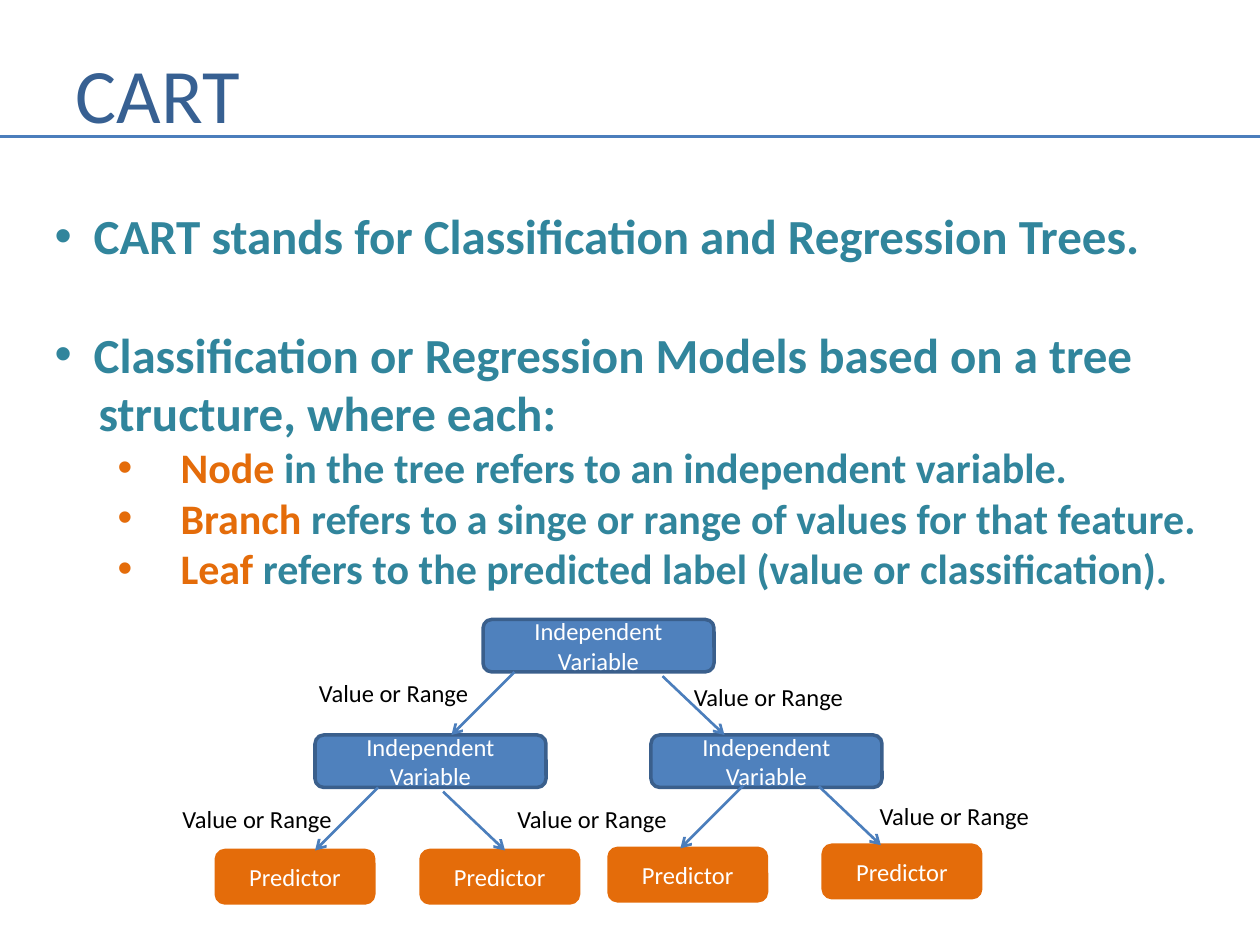
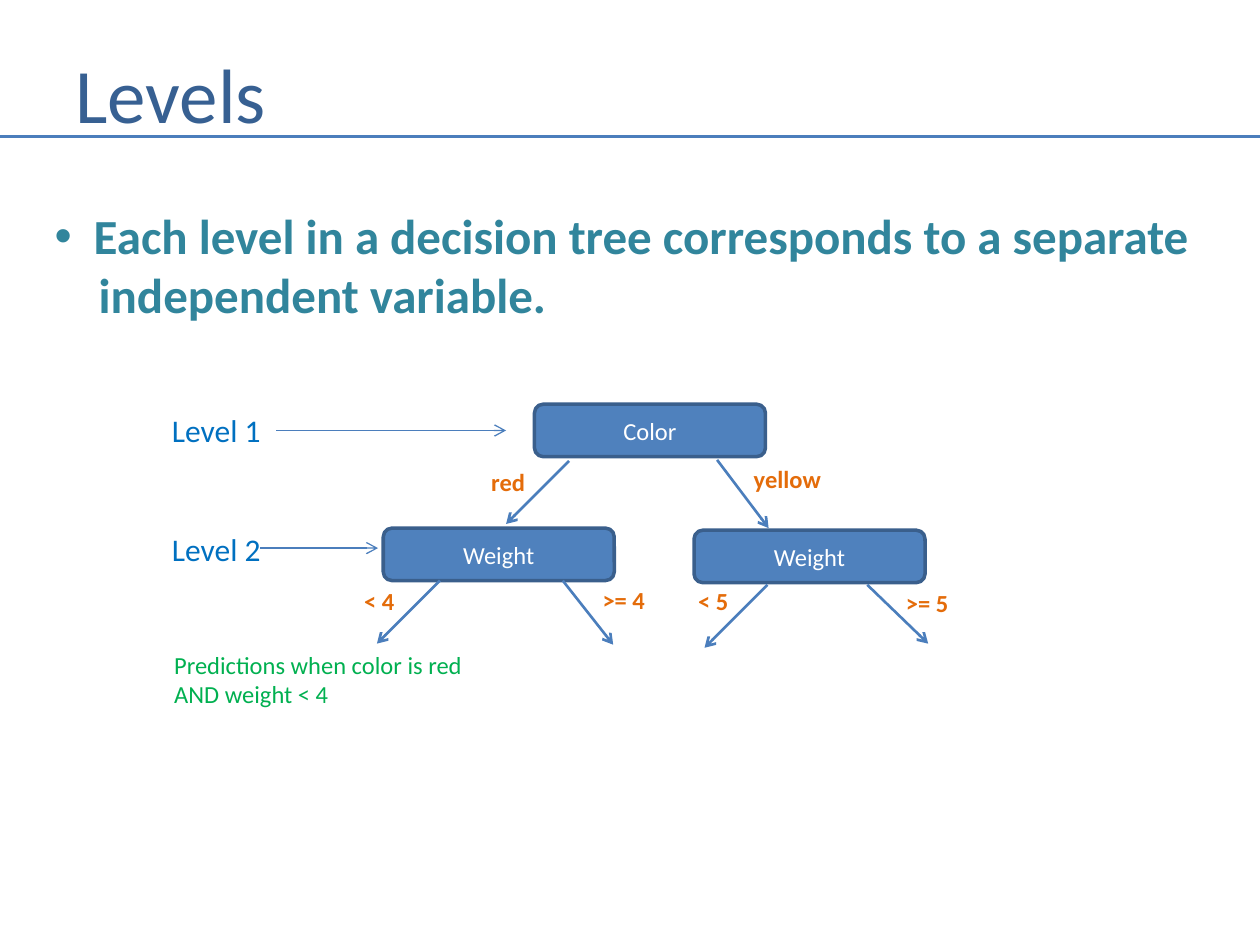
from lxml import etree
from pptx import Presentation
from pptx.dml.color import RGBColor
from pptx.enum.shapes import MSO_CONNECTOR, MSO_SHAPE
from pptx.enum.text import MSO_ANCHOR, MSO_AUTO_SIZE, PP_ALIGN
from pptx.oxml.ns import qn
from pptx.util import Inches, Pt

STRAIGHT, ROUNDED = MSO_CONNECTOR.STRAIGHT, MSO_SHAPE.ROUNDED_RECTANGLE
MIDDLE, TOP = MSO_ANCHOR.MIDDLE, MSO_ANCHOR.TOP
LEFT, CENTER = PP_ALIGN.LEFT, PP_ALIGN.CENTER
FIXED, GROW = MSO_AUTO_SIZE.NONE, MSO_AUTO_SIZE.SHAPE_TO_FIT_TEXT

FONT = "Calibri"
NAVY = RGBColor(0x37, 0x60, 0x92)
TEAL = RGBColor(0x31, 0x85, 0x9C)
ORANGE = RGBColor(0xE4, 0x6C, 0x0A)
BLUE = RGBColor(0x4F, 0x81, 0xBD)
EDGE = RGBColor(0x3A, 0x5F, 0x8C)
LINE = RGBColor(0x4B, 0x7E, 0xBC)
SKY = RGBColor(0x00, 0x70, 0xC0)
GREEN = RGBColor(0x00, 0xB0, 0x50)
BLACK = RGBColor(0, 0, 0)
WHITE = RGBColor(0xFF, 0xFF, 0xFF)

prs = Presentation()
prs.slide_width, prs.slide_height = Inches(10), Inches(7.5)

# The page is a grid of 120 columns by 90 rows; every cell is square.
COLUMNS, ROWS = 120, 90
CELL = prs.slide_width / COLUMNS
NODE_W, LEAF_W, BOX_H = 22, 15, 5
RANGE_W, LABEL_H = 16.8, 4.1


def format_runs(p, size, color, bold=False):
    """Give every run of a paragraph the same font."""
    for r in p.runs:
        r.font.name, r.font.size, r.font.bold = FONT, Pt(size), bold
        r.font.color.rgb = color


def add_line(s, ends, width, arrow=True):
    """Draw a line between two grid points, with an open arrowhead if asked."""
    c = s.shapes.add_connector(STRAIGHT, *(int(v * CELL) for v in ends))
    c.line.color.rgb, c.line.width = LINE, Pt(width)
    if arrow:
        etree.SubElement(c.line._get_or_add_ln(), qn("a:tailEnd"), type="arrow")
    etree.SubElement(c._element.spPr, qn("a:effectLst"))


# Body items: (kind, highlighted word, text, space before in points)
# Indents per kind: left margin and first line in inches, size, bullet
KINDS = {
    "point": (0.31, -0.31, 28, True),
    "more": (0.35, 0, 28, False),
    "sub": (1, -0.5, 24, True),
}

# Boxes: left, top, width, text, fill, edge
# Arrows: x1, y1, x2, y2, width
# Labels: left, top, width, height, text, size, colour, bold
SLIDES = [
    {
        "title": "CART",
        "body": [
            ("point", "", "CART stands for Classification and Regression Trees.", 0),
            ("point", "", "Classification or Regression Models based on a tree", 34),
            ("more", "", "structure, where each:", 0),
            ("sub", "Node", " in the tree refers to an independent variable.", 0),
            ("sub", "Branch", " refers to a singe or range of values for that feature.", 0),
            ("sub", "Leaf", " refers to the predicted label (value or classification).", 0),
        ],
        "body_rows": 38.4,
        "boxes": [(x, y, NODE_W, "Independent Variable", BLUE, EDGE)
                  for x, y in [(46, 59), (30, 70), (62, 70)]]
               + [(x, y, LEAF_W, "Predictor", ORANGE, ORANGE)
                  for x, y in [(20.6, 81), (40.1, 81), (58, 80.8), (78.4, 80.5)]],
        "arrows": [
            (49, 64, 43, 70, 1.5), (63.1, 64.4, 69, 70, 1.5),
            (36, 75, 30, 81, 1.5), (42.2, 75.4, 48.1, 81, 1.5),
            (70.8, 74.8, 64.8, 80.8, 1.5), (78, 74.9, 83.9, 80.5, 1.5),
        ],
        "labels": [(x, y, RANGE_W, LABEL_H, "Value or Range", 14, BLACK, False)
                   for x, y in [(29.2, 64), (64.9, 64.4), (16.2, 76),
                                (48.1, 76), (82.6, 75.7)]],
    },
    {
        "title": "Levels",
        "body": [
            ("point", "", "Each level in a decision tree corresponds to a separate", 0),
            ("more", "", "independent variable.", 0),
        ],
        "body_rows": 23.9,
        "boxes": [(x, y, NODE_W, text, BLUE, EDGE)
                  for x, y, text in [(50.9, 38.5, "Color"), (36.5, 50.3, "Weight"),
                                     (66.1, 50.5, "Weight")]],
        "arrows": [
            (54.2, 43.9, 48.2, 49.9, 1.5), (68.3, 43.8, 73.2, 50.3, 1.5),
            (41.9, 55.3, 35.9, 61.3, 1.5), (53.6, 55.3, 58.4, 61.4, 1.5),
            (73.1, 55.7, 67.1, 61.7, 1.5), (82.6, 55.7, 88.4, 61.3, 1.5),
            (26.3, 41, 48.2, 41, 0.75), (24.8, 52.2, 36, 52.2, 0.75),
        ],
        "labels": [(x, y, w, LABEL_H, text, 14, ORANGE, True)
                   for x, y, w, text in [
                       (45.6, 43.9, 5.6, "red"), (70.6, 43.6, 8.9, "yellow"),
                       (33.5, 55.2, 5.4, "< 4"), (56.2, 55.1, 6.6, ">= 4"),
                       (65.3, 55.2, 5.4, "< 5"), (85.1, 55.4, 6.6, ">= 5")]]
                + [(15.2, 38.6, 11, 4.8, "Level 1", 18, SKY, False),
                   (15.2, 49.9, 11, 4.8, "Level 2", 18, SKY, False),
                   (15.4, 61.3, 30.6, 6.8,
                    "Predictions when color is red\vAND weight < 4", 14, GREEN, False)],
    },
]

for page in SLIDES:
    s = prs.slides.add_slide(prs.slide_layouts[1])

    # Title and the rule below it
    title, body = s.shapes.title, s.placeholders[1]
    title.left, title.top = int(6 * CELL), int(3.6 * CELL)
    title.width, title.height = int(109 * CELL), int(10.4 * CELL)
    tf = title.text_frame
    tf.text, tf.vertical_anchor, tf.auto_size = page["title"], MIDDLE, FIXED
    tf.paragraphs[0].alignment = LEFT
    format_runs(tf.paragraphs[0], 44, NAVY)
    add_line(s, (0, 13, COLUMNS, 13), 1.5, arrow=False)

    # Bulleted body
    body.left, body.top = int(4 * CELL), int(19 * CELL)
    body.width, body.height = int(112.2 * CELL), int(page["body_rows"] * CELL)
    tf = body.text_frame
    tf.word_wrap, tf.auto_size, tf.vertical_anchor = True, FIXED, TOP
    for i, (kind, word, text, before) in enumerate(page["body"]):
        margin, first, size, bullet = KINDS[kind]
        p = tf.add_paragraph() if i else tf.paragraphs[0]
        p.level = 1 if kind == "sub" else 0
        p.space_before = Pt(before)
        if word:
            p.add_run().text = word
        p.add_run().text = text
        format_runs(p, size, TEAL, bold=True)
        if word:
            p.runs[0].font.color.rgb = ORANGE
        pPr = p._p.get_or_add_pPr()
        pPr.set("marL", str(Inches(margin)))
        pPr.set("indent", str(Inches(first)))
        if bullet:
            etree.SubElement(pPr, qn("a:buFont"), typeface="Arial")
            etree.SubElement(pPr, qn("a:buChar"), char="•")
        else:
            etree.SubElement(pPr, qn("a:buNone"))

    # Tree: boxes, arrows, labels
    for x, y, w, text, fill, edge in page["boxes"]:
        sp = s.shapes.add_shape(ROUNDED, *(int(v * CELL) for v in (x, y, w, BOX_H)))
        sp.shadow.inherit = False
        sp.fill.solid()
        sp.fill.fore_color.rgb = fill
        sp.line.color.rgb, sp.line.width = edge, Pt(2)
        tf = sp.text_frame
        tf.text, tf.word_wrap, tf.vertical_anchor = text, True, MIDDLE
        tf.paragraphs[0].alignment = CENTER
        format_runs(tf.paragraphs[0], 14, WHITE)

    for *ends, width in page["arrows"]:
        add_line(s, ends, width)

    for x, y, w, h, text, size, color, bold in page["labels"]:
        sp = s.shapes.add_textbox(*(int(v * CELL) for v in (x, y, w, h)))
        tf = sp.text_frame
        tf.word_wrap, tf.auto_size = False, GROW
        p = tf.paragraphs[0]
        p.text = text
        format_runs(p, size, color, bold)

prs.save("out.pptx")
